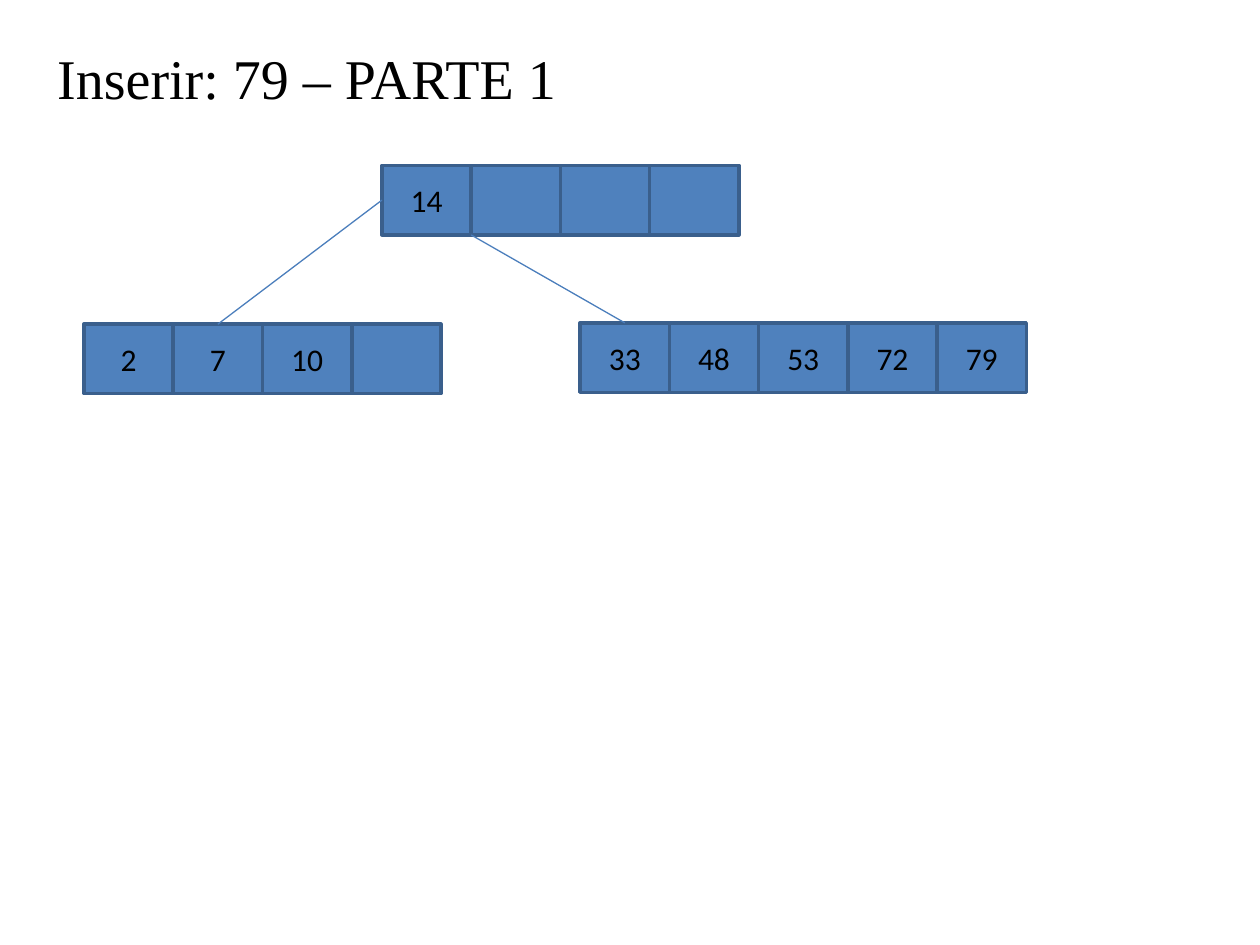
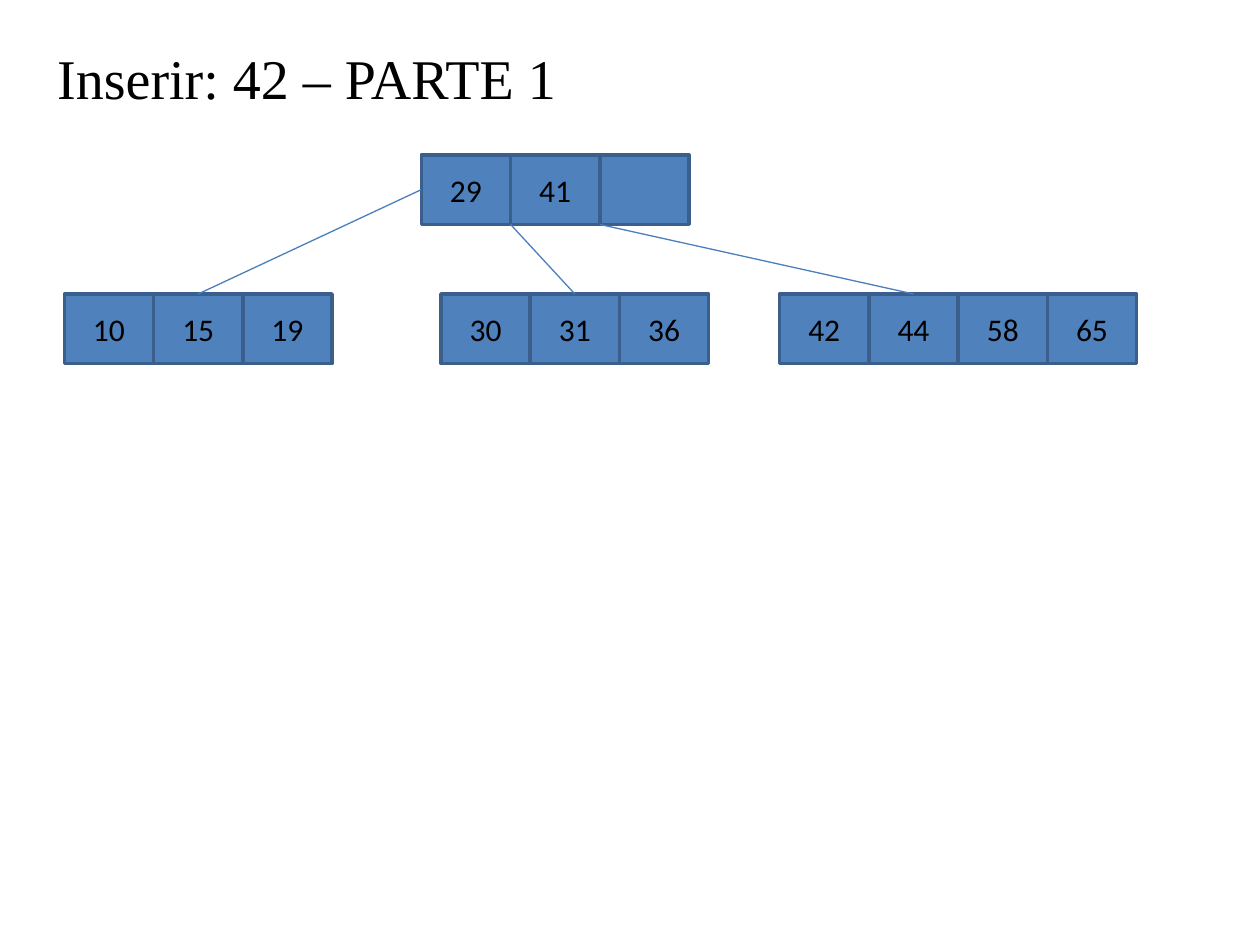
from lxml import etree
from pptx import Presentation
from pptx import util as u
from pptx.dml.color import RGBColor
from pptx.enum import shapes, text
from pptx.oxml.ns import qn

PX = u.Inches(1) // 96
COLORS = {"cell": "4F81BD", "border": "3A5F8C", "link": "4B7EBC", "ink": "000000"}
CELL_W, CELL_H = 68, 53
TITLE_BOX = (34, 28, 567, 98)
TOP, LEFT = 0, 1  # connection sites of a rectangle

# A node is (left, top, keys); a child also names the cell its link reaches.
TREES = [
    {
        "title": "Inserir: 79 – PARTE 1",
        "root": (291, 126, ["14", "", "", ""]),
        "children": [
            ((64, 247, ["2", "7", "10", ""]), 1),
            ((442, 246, ["33", "48", "53", "72", "79"]), 0),
        ],
    },
    {
        "title": "Inserir: 42 – PARTE 1",
        "root": (321, 118, ["29", "41", ""]),
        "children": [
            ((49, 224, ["10", "15", "19"]), 1),
            ((336, 224, ["30", "31", "36"]), 1),
            ((594, 224, ["42", "44", "58", "65"]), 1),
        ],
    },
]


def rgb(name):
    return RGBColor.from_string(COLORS[name])


def px(*lengths):
    return [length * PX for length in lengths]


def write(sp, content, *, size, font, align, anchor, color="ink"):
    tf = sp.text_frame
    tf.word_wrap = True
    tf.auto_size = text.MSO_AUTO_SIZE.NONE
    tf.vertical_anchor = anchor
    p = tf.paragraphs[0]
    p.alignment = align
    r = p.add_run()
    r.text = content
    r.font.size = u.Pt(size)
    r.font.name = font
    r.font.color.rgb = rgb(color)


def add_title(s, content):
    sp = s.shapes.title
    sp.left, sp.top, sp.width, sp.height = px(*TITLE_BOX)
    write(sp, content, size=32, font="Times New Roman",
          align=text.PP_ALIGN.JUSTIFY, anchor=text.MSO_ANCHOR.TOP)


def add_cell(s, left, top, key):
    sp = s.shapes.add_shape(shapes.MSO_SHAPE.RECTANGLE, *px(left, top, CELL_W, CELL_H))
    sp.shadow.inherit = False
    sp.fill.solid()
    sp.fill.fore_color.rgb = rgb("cell")
    sp.line.color.rgb = rgb("border")
    sp.line.width = u.Pt(2)
    if key:
        write(sp, key, size=18, font="Calibri",
              align=text.PP_ALIGN.CENTER, anchor=text.MSO_ANCHOR.MIDDLE)
    return sp


def add_node(s, left, top, keys):
    return [add_cell(s, left + i * CELL_W, top, key) for i, key in enumerate(keys)]


def add_link(s, root, index, target):
    """Join a child to the root: the first at its left side, the rest below a cell's left corner."""
    cell = root[index]
    line = s.shapes.add_connector(shapes.MSO_CONNECTOR.STRAIGHT,
                                  cell.left, cell.top + cell.height,
                                  target.left, target.top)
    if index == 0:
        line.begin_connect(cell, LEFT)
    line.end_connect(target, TOP)
    line.line.color.rgb = rgb("link")
    line.line.width = u.Pt(0.75)
    etree.SubElement(line._element.spPr, qn("a:effectLst"))


def add_tree(prs, tree):
    s = prs.slides.add_slide(prs.slide_layouts[5])
    add_title(s, tree["title"])
    root = add_node(s, *tree["root"])
    for index, (node, linked) in enumerate(tree["children"]):
        cells = add_node(s, *node)
        add_link(s, root, index, cells[linked])


def main():
    prs = Presentation()
    prs.slide_width, prs.slide_height = px(960, 720)
    for tree in TREES:
        add_tree(prs, tree)
    prs.save("out.pptx")


if __name__ == "__main__":
    main()
